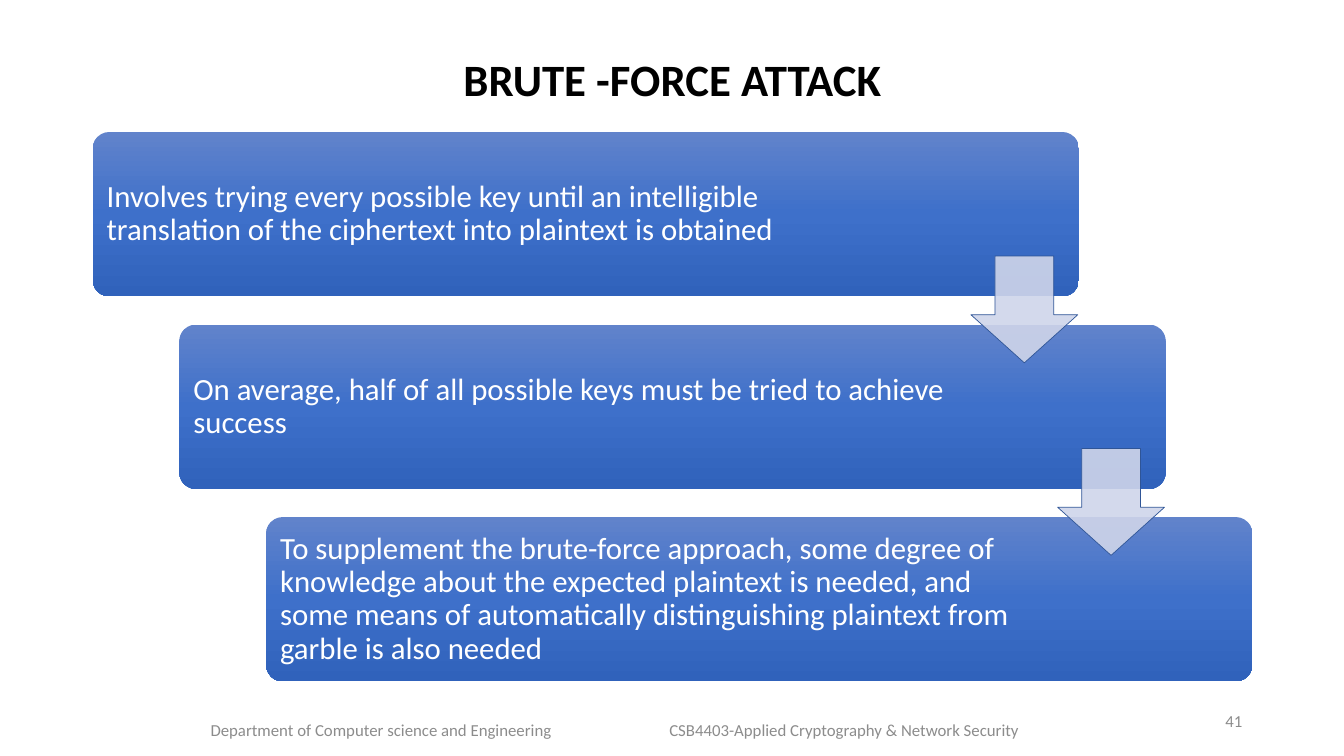
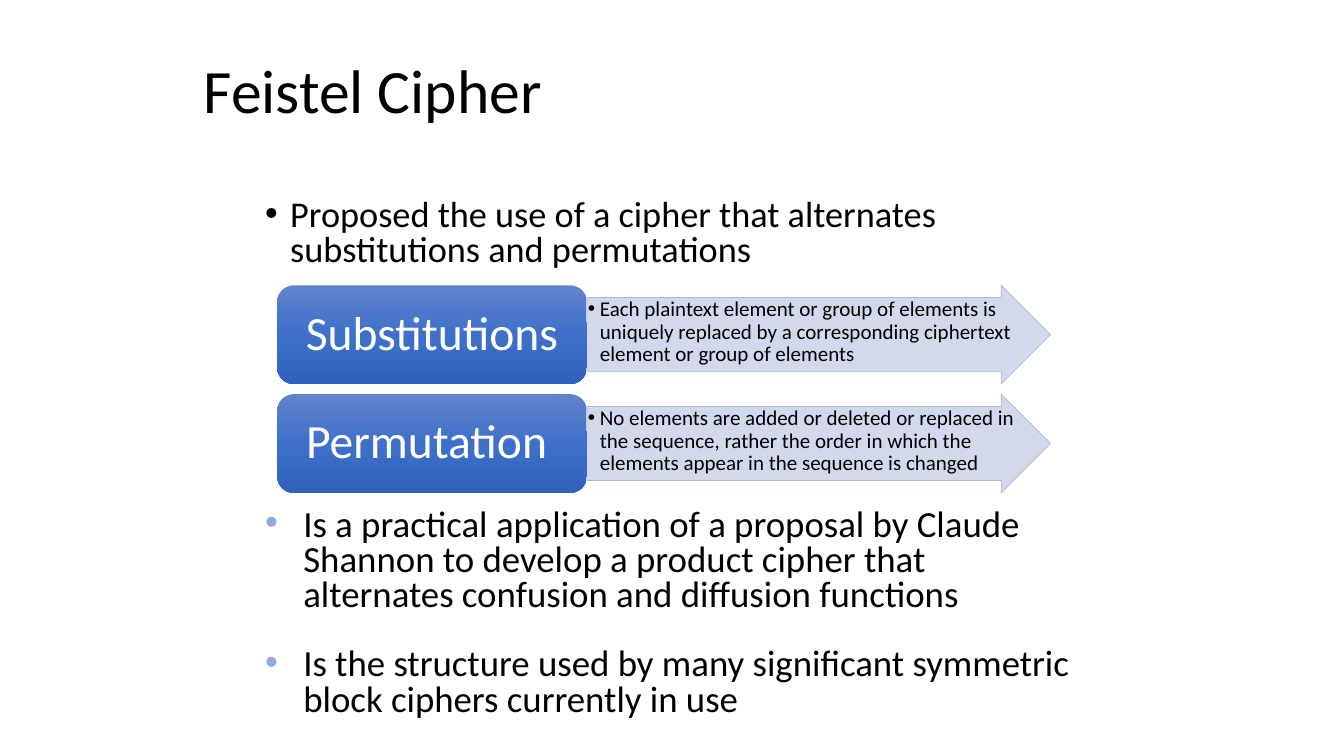
from lxml import etree
from pptx import Presentation
from pptx import util as u
from pptx.dml import color
from pptx.enum import shapes, text
from pptx.oxml import ns

FONT = "Calibri"
BLACK, WHITE, GREY = "000000", "FFFFFF", "8C8C8C"
PALE, STEP_EDGE, CIPHER_EDGE, BULLET = "CFD5EA", "2F5597", "ADB9CA", "8FAADC"
GRADIENT = [(0, "6183CB"), (50, "3E70CA"), (100, "3062BB")]
LEFT, CENTER, RIGHT = text.PP_ALIGN.LEFT, text.PP_ALIGN.CENTER, text.PP_ALIGN.RIGHT
TOP, MIDDLE = text.MSO_ANCHOR.TOP, text.MSO_ANCHOR.MIDDLE

STEPS = [
    "Involves trying every possible key until an intelligible translation of the ciphertext into plaintext is obtained",
    "On average, half of all possible keys must be tried to achieve success",
    "To supplement the brute-force approach, some degree of knowledge about the expected plaintext is needed, "
    "and some means of automatically distinguishing plaintext from garble is also needed",
]
OPERATIONS = [
    ("Substitutions", "Each plaintext element or group of elements is uniquely replaced by a "
     "corresponding ciphertext element or group of elements"),
    ("Permutation ", "No elements are added or deleted or replaced in the sequence, rather the order "
     "in which the elements appear in the sequence is changed"),
]
USES = [
    "Is a practical application of a proposal by Claude Shannon to develop a product cipher that "
    "alternates confusion and diffusion functions",
    "Is the structure used by many significant symmetric block ciphers currently in use",
]


def rgb(value):
    return color.RGBColor.from_string(value)


def place(box, at):
    box.left, box.top, box.width, box.height = map(u.Inches, at)


def add_bullet(para, indent, tint):
    props = para._p.get_or_add_pPr()
    props.set("marL", str(u.Inches(indent)))
    props.set("indent", str(-u.Inches(indent)))
    tint_element = etree.SubElement(props, ns.qn("a:buClr"))
    etree.SubElement(tint_element, ns.qn("a:srgbClr"), val=tint)
    etree.SubElement(props, ns.qn("a:buFont"), typeface="Arial")
    etree.SubElement(props, ns.qn("a:buChar"), char="•")


def write(box, lines, size, tint=BLACK, align=LEFT, anchor=MIDDLE, spacing=0.9,
          inset=(0.1, 0.05, 0.1, 0.05), bold=False, indent=0, bullet=BLACK, gap=0):
    frame = box.text_frame
    frame.word_wrap = True
    frame.auto_size = text.MSO_AUTO_SIZE.NONE
    frame.vertical_anchor = anchor
    frame.margin_left, frame.margin_top, frame.margin_right, frame.margin_bottom = map(u.Inches, inset)
    for index, line in enumerate(lines):
        para = frame.add_paragraph() if index else frame.paragraphs[0]
        if indent:
            add_bullet(para, indent, bullet)
        para.alignment = align
        para.line_spacing = spacing
        if index:
            para.space_before = u.Pt(gap)
        span = para.add_run()
        span.text = line
        span.font.name = FONT
        span.font.size = u.Pt(size)
        span.font.bold = bold
        span.font.color.rgb = rgb(tint)


def add_text(page, at, lines, size, **style):
    box = page.shapes.add_textbox(*map(u.Inches, at))
    write(box, lines, size, **style)


def add_titled_page(deck, title, at, size, **style):
    page = deck.slides.add_slide(deck.slide_layouts[5])
    place(page.shapes.title, at)
    write(page.shapes.title, [title], size, **style)
    return page


def add_preset(page, kind, at, adjustments):
    shape = page.shapes.add_shape(kind, *map(u.Inches, at))
    shape.shadow.inherit = False
    for index, value in enumerate(adjustments):
        shape.adjustments[index] = value
    return shape


def add_gradient_box(page, at, corner):
    box = add_preset(page, shapes.MSO_SHAPE.ROUNDED_RECTANGLE, at, [corner])
    box.line.fill.background()
    box.fill.gradient()
    box.fill.gradient_angle = 270
    stops = box._element.spPr.find(ns.qn("a:gradFill")).find(ns.qn("a:gsLst"))
    for stop in list(stops):
        stops.remove(stop)
    for position, tint in GRADIENT:
        stop = etree.SubElement(stops, ns.qn("a:gs"), pos=str(position * 1000))
        etree.SubElement(stop, ns.qn("a:srgbClr"), val=tint)
    return box


def add_pale_arrow(page, kind, at, adjustments, edge):
    arrow = add_preset(page, kind, at, adjustments)
    arrow.fill.solid()
    arrow.fill.fore_color.rgb = rgb(PALE)
    tint = arrow._element.spPr.find(ns.qn("a:solidFill")).find(ns.qn("a:srgbClr"))
    etree.SubElement(tint, ns.qn("a:alpha"), val="90000")
    arrow.line.color.rgb = rgb(edge)
    arrow.line.width = u.Pt(0.5)


def add_footer(page, number):
    style = {"tint": GREY, "spacing": 1.0}
    add_text(page, (1.99, 7.04, 4, 0.4), ["Department of Computer science and Engineering"], 12, **style)
    add_text(page, (6.54, 7.04, 4, 0.4), ["CSB4403-Applied Cryptography & Network Security"], 12, **style)
    add_text(page, (9.42, 6.95, 3, 0.4), [number], 12, align=RIGHT, **style)


def build_brute_force(deck):
    page = add_titled_page(deck, "BRUTE -FORCE ATTACK", (0.92, 0.4, 11.5, 0.82), 32,
                           align=CENTER, bold=True)
    add_footer(page, "41")
    corners = [(0.92 + 0.86 * index, 1.31 + 1.91 * index) for index in range(len(STEPS))]
    for (left, top), step in zip(corners, STEPS):
        box = add_gradient_box(page, (left, top, 9.78, 1.63), 0.1)
        write(box, [step], 22, tint=WHITE, inset=(0.09, 0.09, 2, 0.09))
    for left, top in corners[:-1]:
        add_pale_arrow(page, shapes.MSO_SHAPE.DOWN_ARROW, (left + 8.71, top + 1.23, 1.06, 1.06),
                       [0.55, 0.45], STEP_EDGE)


def build_feistel(deck):
    page = add_titled_page(deck, "Feistel Cipher", (1.92, 0.3, 9.5, 1.25), 44)
    add_text(page, (2.53, 1.93, 8.28, 0.85),
             ["Proposed the use of a cipher that alternates substitutions and permutations"], 25.9,
             anchor=TOP, spacing=0.8, indent=0.25)
    for index, (name, meaning) in enumerate(OPERATIONS):
        top = 2.83 + 1.08 * index
        add_pale_arrow(page, shapes.MSO_SHAPE.RIGHT_ARROW, (5.82, top, 4.6, 0.98),
                       [0.75, 0.5], CIPHER_EDGE)
        add_text(page, (5.82, top + 0.12, 4.25, 0.73), [meaning], 15, anchor=TOP,
                 inset=(0.01, 0.01, 0.01, 0.01), indent=0.12)
        label = add_gradient_box(page, (2.75, top, 3.07, 0.98), 0.17)
        write(label, [name], 34, tint=WHITE, align=CENTER, inset=(0.14, 0.07, 0.14, 0.07))
    add_text(page, (2.53, 5, 8.28, 2.25), USES, 26.3, anchor=TOP, spacing=0.8,
             indent=0.38, bullet=BULLET, gap=24)


def main():
    deck = Presentation()
    deck.slide_width, deck.slide_height = u.Inches(13.33), u.Inches(7.5)
    build_brute_force(deck)
    build_feistel(deck)
    deck.save("out.pptx")


if __name__ == "__main__":
    main()
